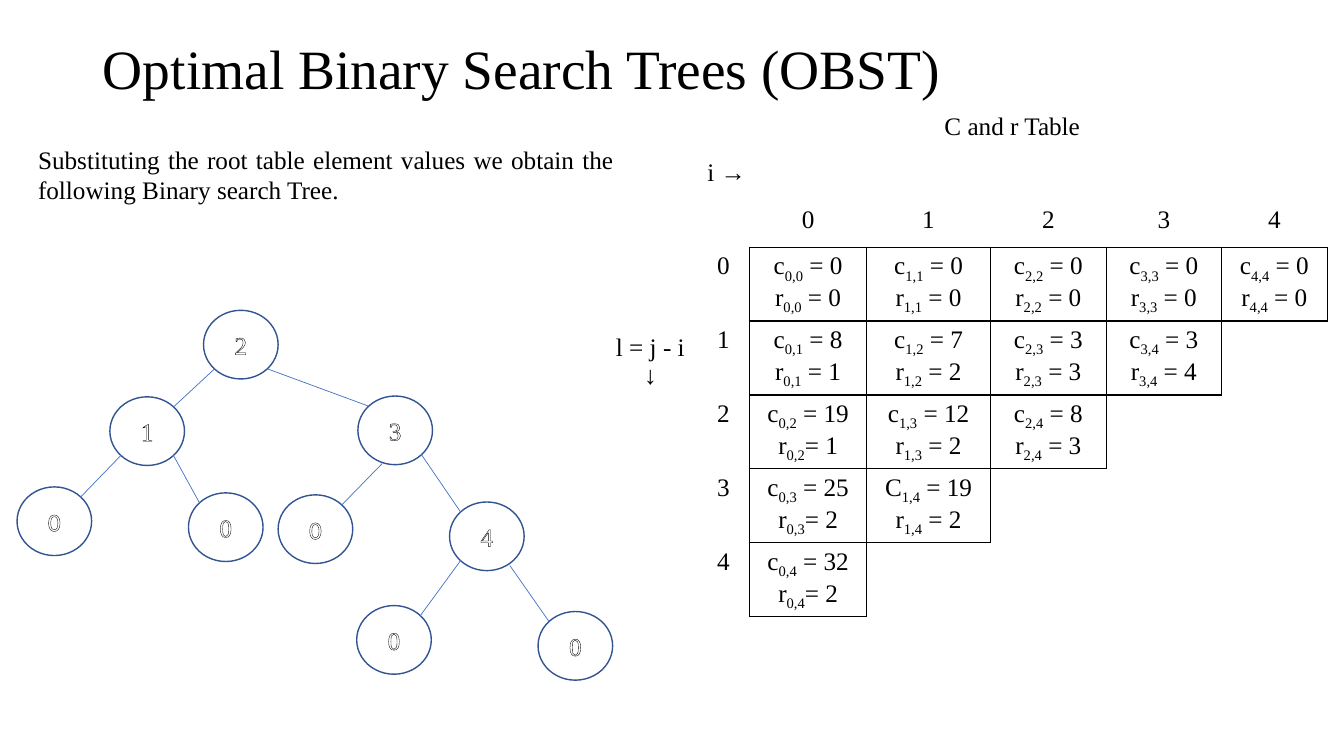
import dataclasses
import lxml.etree
import pptx
import pptx.dml.color
import pptx.enum.shapes
import pptx.enum.text
import pptx.oxml.ns
import pptx.util

Cm = pptx.util.Cm
Pt = pptx.util.Pt
ALIGN = pptx.enum.text.PP_ALIGN
ANCHOR = pptx.enum.text.MSO_ANCHOR

COLORS = {"ink": "000000", "paper": "FFFFFF", "ring": "325491", "branch": "4472C4"}
SERIF = "Times New Roman"
SANS = "Calibri"

COLUMN_WIDTHS = [2.36, 1.32, 2.95, 3.12, 2.92, 2.9, 2.67]
HEADER_HEIGHT, ENTRY_HEIGHT = 1.17, 1.86
HEADER_ROWS, LABEL_COLUMNS = 3, 2
ENTRIES = [
    ["c_ = 0|r_ = 0"] * 5,
    ["c_ = 8|r_ = 1", "c_ = 7|r_ = 2", "c_ = 3|r_ = 3", "c_ = 3|r_ = 4"],
    ["c_ = 19|r_= 1", "c_ = 12|r_ = 2", "c_ = 8|r_ = 3"],
    ["c_ = 25|r_= 2", "C_ = 19|r_ = 2"],
    ["c_ = 32|r_= 2"],
]

NODE_WIDTH, NODE_HEIGHT = 1.88, 1.73
NODES = {
    "root": ("2", 4.7, 0, SERIF),
    "one": ("1", 2.34, 2.18, SERIF),
    "three": ("3", 8.59, 2.16, SERIF),
    "one left": ("0", 0, 4.45, SANS),
    "one right": ("0", 4.32, 4.6, SERIF),
    "three left": ("0", 6.58, 4.65, SANS),
    "four": ("4", 10.9, 4.83, SERIF),
    "four left": ("0", 8.56, 7.44, SERIF),
    "four right": ("0", 13.13, 7.59, SERIF),
}
BRANCHES = [
    ("root", "one", 0, 0),
    ("root", "three", 0, 0),
    ("one", "one left", 0, 0),
    ("one", "one right", 0, 0),
    ("three", "three left", 0.33, 0.23),
    ("three", "four", 0, 0),
    ("four", "four left", 0, 0),
    ("four", "four right", -0.08, 0.13),
]


@dataclasses.dataclass
class Box:
    left: float
    top: float
    width: float
    height: float

    def lengths(self):
        return Cm(self.left), Cm(self.top), Cm(self.width), Cm(self.height)

    def corner(self, across, down):
        return self.left + self.width * across, self.top + self.height * down


def rgb(name):
    return pptx.dml.color.RGBColor.from_string(COLORS[name])


def add_span(para, text, size=18, font=SERIF, color="ink"):
    span = para.add_run()
    span.text = text
    span.font.size = Pt(size)
    span.font.name = font
    span.font.color.rgb = rgb(color)
    return span


def add_line(parent, tag, points, color=None):
    line = lxml.etree.SubElement(parent, pptx.oxml.ns.qn(tag), w=str(Pt(points)))
    if color:
        fill = lxml.etree.SubElement(line, pptx.oxml.ns.qn("a:solidFill"))
        lxml.etree.SubElement(fill, pptx.oxml.ns.qn("a:srgbClr"), val=COLORS[color])
    else:
        lxml.etree.SubElement(line, pptx.oxml.ns.qn("a:noFill"))
    return line


def add_title(slide, box):
    title = slide.shapes.title
    title.left, title.top, title.width, title.height = box.lengths()
    frame = title.text_frame
    frame.auto_size = pptx.enum.text.MSO_AUTO_SIZE.NONE
    frame.vertical_anchor = ANCHOR.MIDDLE
    para = frame.paragraphs[0]
    para.alignment = ALIGN.LEFT
    para.line_spacing = 0.9
    add_span(para, "Optimal Binary Search Trees (OBST)", 39.6)


def add_statement(slide, box):
    frame = slide.shapes.add_textbox(*box.lengths()).text_frame
    frame.word_wrap = True
    para = frame.paragraphs[0]
    para.alignment = ALIGN.JUSTIFY
    add_span(para, "Substituting the root table element values we obtain the "
                   "following Binary search Tree.")


def is_entry(row, column):
    level, start = row - HEADER_ROWS, column - LABEL_COLUMNS
    return 0 <= level < len(ENTRIES) and 0 <= start < len(ENTRIES[level])


def format_cell(cell, row, column):
    neighbours = {"a:lnL": (0, -1), "a:lnR": (0, 1), "a:lnT": (-1, 0), "a:lnB": (1, 0)}
    properties = cell._tc.get_or_add_tcPr()
    for tag, (down, across) in neighbours.items():
        drawn = is_entry(row, column) or is_entry(row + down, column + across)
        add_line(properties, tag, 1, "ink" if drawn else None)
    cell.fill.background()


def write_label(cell, text, alignment=ALIGN.CENTER):
    para = cell.text_frame.paragraphs[0]
    para.alignment = alignment
    add_span(para, text)


def write_entry(cell, entry, subscript):
    frame = cell.text_frame
    for index, formula in enumerate(entry.split("|")):
        para = frame.add_paragraph() if index else frame.paragraphs[0]
        para.alignment = ALIGN.CENTER
        symbol, value = formula.split("_")
        add_span(para, symbol)
        lowered = add_span(para, subscript)
        lowered._r.get_or_add_rPr().set("baseline", "-25000")
        add_span(para, value)


def add_cost_table(slide, box):
    row_count = HEADER_ROWS + len(ENTRIES)
    frame = slide.shapes.add_table(row_count, len(COLUMN_WIDTHS), *box.lengths())
    table = frame.table
    table.first_row = table.horz_banding = False
    for column, width in zip(table.columns, COLUMN_WIDTHS):
        column.width = Cm(width)
    for index, row in enumerate(table.rows):
        row.height = Cm(HEADER_HEIGHT if index < HEADER_ROWS else ENTRY_HEIGHT)
        for column in range(len(COLUMN_WIDTHS)):
            format_cell(table.cell(index, column), index, column)

    table.cell(0, 0).merge(table.cell(row_count - 1, 0))
    table.cell(0, 1).merge(table.cell(0, len(COLUMN_WIDTHS) - 1))
    table.cell(1, 1).merge(table.cell(1, 2))
    side = table.cell(0, 0)
    side.vertical_anchor = ANCHOR.MIDDLE
    write_label(side, "l = j - i")
    arrow = side.text_frame.add_paragraph()
    arrow.alignment = ALIGN.CENTER
    add_span(arrow, "↓")
    write_label(table.cell(0, 1), "C and r Table")
    write_label(table.cell(1, 1), "i →", ALIGN.LEFT)

    for level, entries in enumerate(ENTRIES):
        row = HEADER_ROWS + level
        write_label(table.cell(HEADER_ROWS - 1, LABEL_COLUMNS + level), str(level))
        write_label(table.cell(row, LABEL_COLUMNS - 1), str(level))
        for start, entry in enumerate(entries):
            cell = table.cell(row, LABEL_COLUMNS + start)
            write_entry(cell, entry, f"{start},{start + level}")


def add_node(slide, box, label, font):
    node = slide.shapes.add_shape(pptx.enum.shapes.MSO_SHAPE.OVAL, *box.lengths())
    node.shadow.inherit = False
    node.fill.solid()
    node.fill.fore_color.rgb = rgb("paper")
    node.line.color.rgb = rgb("ring")
    node.line.width = Pt(1)
    node.text_frame.vertical_anchor = ANCHOR.MIDDLE
    para = node.text_frame.paragraphs[0]
    para.alignment = ALIGN.CENTER
    span = add_span(para, label, font=font, color="paper")
    properties = span._r.get_or_add_rPr()
    properties.insert(0, add_line(properties, "a:ln", 0.75, "ink"))


def add_branch(slide, begin, end):
    branch = slide.shapes.add_connector(
        pptx.enum.shapes.MSO_CONNECTOR.STRAIGHT, *map(Cm, begin + end))
    branch.line.color.rgb = rgb("branch")
    branch.line.width = Pt(0.5)
    lxml.etree.SubElement(branch._element.spPr, pptx.oxml.ns.qn("a:effectLst"))


def add_tree(slide, box):
    boxes = {}
    for name, (label, across, down, font) in NODES.items():
        boxes[name] = Box(box.left + across, box.top + down, NODE_WIDTH, NODE_HEIGHT)
        add_node(slide, boxes[name], label, font)
    near, far = 0.15, 0.85
    for parent, child, shift_x, shift_y in BRANCHES:
        leftward = boxes[child].left < boxes[parent].left
        x, y = boxes[parent].corner(near if leftward else far, far)
        end = boxes[child].corner(far if leftward else near, near)
        add_branch(slide, (x + shift_x, y + shift_y), end)


def main():
    deck = pptx.Presentation()
    deck.slide_width, deck.slide_height = Cm(33.87), Cm(19.05)
    slide = deck.slides.add_slide(deck.slide_layouts.get_by_name("Title Only"))
    add_title(slide, Box(2.34, 1.02, 29.21, 1.55))
    add_cost_table(slide, Box(15.21, 2.72, 18.24, 12.81))
    add_tree(slide, Box(0.43, 7.82, 15.01, 9.32))
    add_statement(slide, Box(0.71, 3.51, 15.01, 1.8))
    deck.save("out.pptx")


if __name__ == "__main__":
    main()
